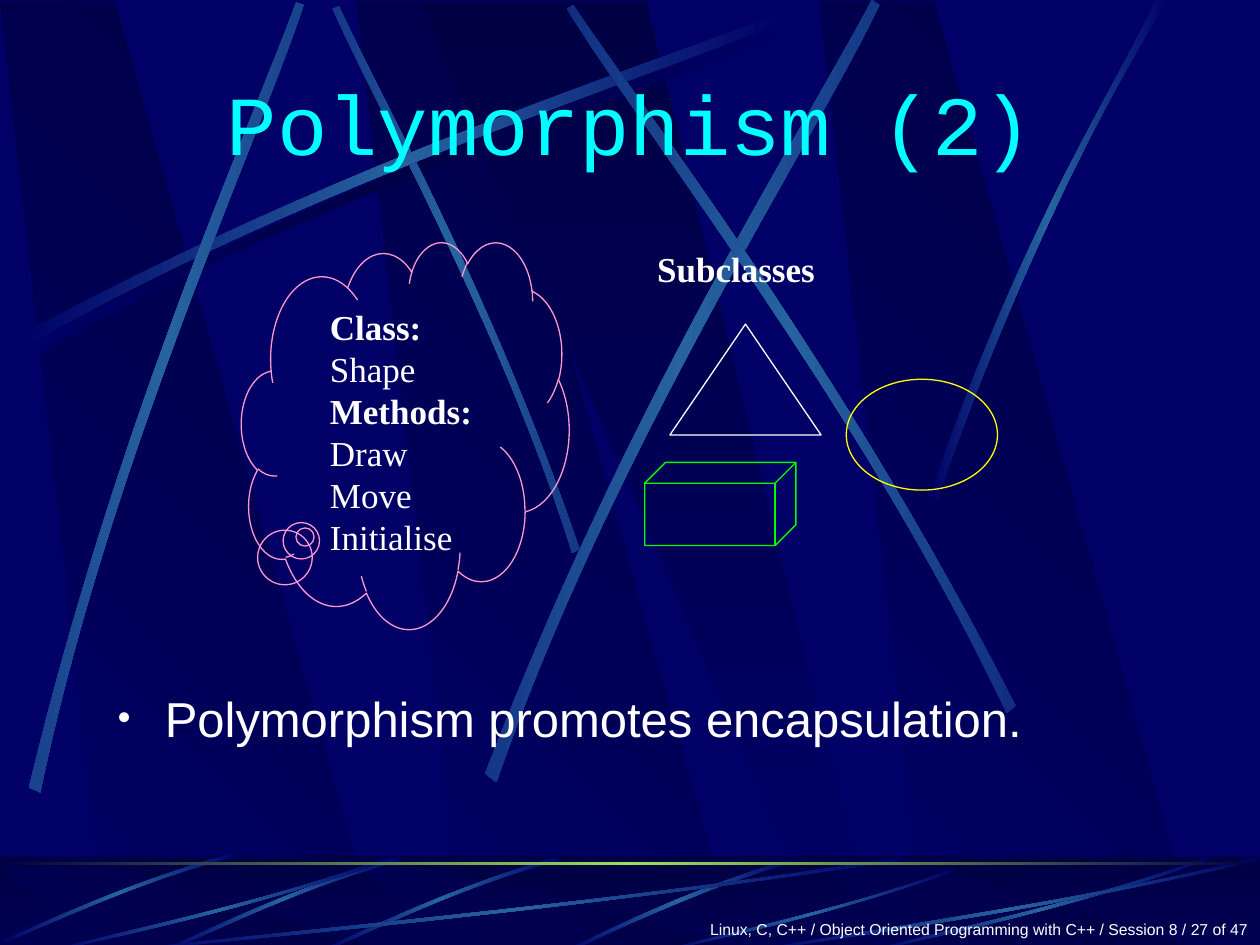
from math import cos, sin, radians
from pptx import Presentation
from pptx.dml.color import RGBColor
from pptx.enum.shapes import MSO_SHAPE as Preset
from pptx.enum.text import MSO_ANCHOR as Anchor, PP_ALIGN as Align
from pptx.oxml import parse_xml
from pptx.oxml.ns import nsdecls, qn
from pptx.util import Inches, Pt

COLUMNS, ROWS = 1000, 750
WIDTH, HEIGHT = Inches(10), Inches(7.5)
NAVY, MIDNIGHT, STEEL, LIME, WHITE = "000066", "000044", "2663A0", "9CE157", "FFFFFF"
GLOW = (NAVY, STEEL, NAVY)

WEDGE = [(86, 1), (302, 1), (91, 0), (0, 0)]
WIDE_WEDGE = [(0, 0), (325, 1), (361, 1), (180, 0)]
WEDGE_LEFTS = (283, 0, 650)

STREAKS = [
    ([(20, 275), (284, 134), (524, 59), (626, 18),
      (629, 24), (528, 69), (254, 151), (23, 285)], 0, (NAVY, MIDNIGHT, NAVY)),
    ([(460, 436), (391, 234), (302, 77), (269, 5),
      (264, 7), (295, 79), (398, 258), (454, 439)], 45, GLOW),
    ([(14, 267), (278, 125), (518, 51), (620, 10),
      (623, 16), (522, 61), (248, 143), (17, 277)], 0, GLOW),
    ([(23, 625), (93, 334), (197, 105), (235, 2),
      (241, 4), (207, 108), (86, 368), (32, 629)], 311.7, GLOW),
    ([(385, 614), (498, 320), (638, 102), (692, 0),
      (698, 4), (649, 108), (486, 355), (394, 621)], 321.6, GLOW),
    ([(806, 560), (670, 293), (516, 95), (455, 4),
      (450, 7), (507, 101), (685, 325), (799, 566)], 34.8, GLOW),
    ([(738, 393), (814, 173), (888, 66), (917, 0),
      (927, 0), (836, 145), (769, 322), (744, 397)], 0, GLOW),
]
ARC = [(627, 682), (537, 709), (477, 742), (448, 754),
       (453, 755), (490, 737), (571, 700), (628, 685)]
TILTED = [(186, 4), (99, 29), (31, 64), (0, 77), (1, 79), (32, 67), (109, 27), (188, 7)]
TILTED_PLACES = [(256, 188, 676, 79), (131, 188, 676, 79), (2, 186, 673, 75)]
FAN = [(266, 3), (151, 43), (46, 64), (1, 75), (0, 74), (44, 61), (164, 38), (267, 0)]
FAN_PLACES = [(100, 617, 680, 75), (42, 267, 680, 75), (527, 231, 689, 66),
              (692, 267, 680, 75), (600, 400, 680, 75)]


def color(value):
    return RGBColor.from_string(value)


def across(columns):
    return round(WIDTH * columns / COLUMNS)


def down(rows):
    return round(HEIGHT * rows / ROWS)


def turn(x, y, degrees):
    angle = radians(degrees)
    return x * cos(angle) - y * sin(angle), x * sin(angle) + y * cos(angle)


def fit(points, left, width, top, height):
    full_width, full_height = (max(values) for values in zip(*points))
    return [(left + x * width / full_width, top + y * height / full_height) for x, y in points]


def write(paragraph, text, font="Arial", size=20, ink=WHITE, bold=False, align=Align.LEFT):
    paragraph.alignment = align
    run = paragraph.add_run()
    run.text = text
    run.font.name, run.font.size, run.font.bold = font, Pt(size), bold
    run.font.color.rgb = color(ink)


class Painter:
    def __init__(self, slide, serif="Times New Roman", line_width=0.75):
        self.slide, self.serif, self.line_width = slide, serif, line_width

    def gradient(self, shape, colors, angle):
        shape.shadow.inherit = False
        shape.line.fill.background()
        shape.fill.gradient()
        fill = shape.fill._xPr.find(qn("a:gradFill"))
        stops = "".join(
            f'<a:gs pos="{round(100000 * i / (len(colors) - 1))}"><a:srgbClr val="{value}"/></a:gs>'
            for i, value in enumerate(colors))
        fill.getparent().replace(fill, parse_xml(
            f'<a:gradFill {nsdecls("a")} rotWithShape="0"><a:gsLst>{stops}</a:gsLst>'
            f'<a:lin ang="{angle * 60000}" scaled="0"/></a:gradFill>'))

    def outline(self, points, colors, angle, rotation=0):
        corners = [turn(across(x), down(y), -rotation) for x, y in points]
        builder = self.slide.shapes.build_freeform(*map(round, corners[0]), scale=1.0)
        builder.add_line_segments([tuple(map(round, corner)) for corner in corners[1:]])
        shape = builder.convert_to_shape()
        x, y = turn(shape.left + shape.width / 2, shape.top + shape.height / 2, rotation)
        shape.left, shape.top = round(x - shape.width / 2), round(y - shape.height / 2)
        shape.rotation = rotation
        self.gradient(shape, colors, angle)
        return shape

    def streak(self, points, rotation=0, colors=GLOW):
        shape = self.outline(points, colors, 180, rotation)
        segments = list(shape._element.iter(qn("a:lnTo")))
        for side in (segments[:3], segments[4:7]):
            bend = parse_xml(f'<a:cubicBezTo {nsdecls("a")}/>')
            side[0].addprevious(bend)
            for segment in side:
                bend.append(segment[0])
                segment.getparent().remove(segment)

    def wedges(self, top, height):
        places = [(left, WEDGE, 135) for left in WEDGE_LEFTS] + [(333, WIDE_WEDGE, 90)]
        for left, points, angle in places:
            self.outline([(left + x, top + y * height) for x, y in points],
                         (MIDNIGHT, NAVY), angle)

    def preset(self, kind, left, top, width, height, line=None, adjustments=()):
        shape = self.slide.shapes.add_shape(
            kind, across(left), down(top), across(width), down(height))
        shape.shadow.inherit = False
        shape.fill.background()
        if line:
            shape.line.color.rgb = color(line)
            shape.line.width = Pt(self.line_width)
        else:
            shape.line.fill.background()
        for index, value in enumerate(adjustments):
            shape.adjustments[index] = value
        return shape

    def band(self, top, height, colors, angle):
        self.gradient(self.preset(Preset.RECTANGLE, 0, top, COLUMNS, height), colors, angle)

    def veil(self, top, height, value, opacity):
        shape = self.preset(Preset.RECTANGLE, 0, top, COLUMNS, height)
        shape.fill.solid()
        shape.fill.fore_color.rgb = color(value)
        tint = shape.fill._xPr.find(qn("a:solidFill"))[0]
        tint.append(parse_xml(f'<a:alpha {nsdecls("a")} val="{opacity * 1000}"/>'))

    def text(self, left, top, width, height, lines, anchor=Anchor.TOP, **style):
        box = self.slide.shapes.add_textbox(across(left), down(top), across(width), down(height))
        frame = box.text_frame
        frame.word_wrap, frame.vertical_anchor = True, anchor
        for index, (line, bold) in enumerate(lines):
            paragraph = frame.add_paragraph() if index else frame.paragraphs[0]
            write(paragraph, line, bold=bold, **style)
        return frame

    def bullet(self, left, top, width, height, line, size):
        paragraph = self.text(left, top, width, height, [(line, False)], size=size).paragraphs[0]
        paragraph.space_before, paragraph.space_after = Pt(12), Pt(3)
        properties = paragraph._p.get_or_add_pPr()
        properties.set("marL", str(Inches(0.38)))
        properties.set("indent", str(-Inches(0.38)))
        for tag in (f'buClr {nsdecls("a")}><a:srgbClr val="{WHITE}"/></a:buClr',
                    f'buSzPct {nsdecls("a")} val="85000"/',
                    f'buFont {nsdecls("a")} typeface="Times New Roman"/',
                    f'buChar {nsdecls("a")} char="•"/'):
            properties.append(parse_xml(f"<a:{tag}>"))


def draw_background(painter):
    painter.wedges(1, 751)
    for streak in STREAKS:
        painter.streak(*streak)
    painter.band(680, 75, (MIDNIGHT, NAVY), 90)
    painter.wedges(688, 66)
    painter.veil(679, 75, MIDNIGHT, 50)
    painter.streak(ARC)
    for place in TILTED_PLACES:
        painter.streak(fit(TILTED, *place), 314.9)
    for place in FAN_PLACES:
        painter.streak(fit(FAN, *place))
    painter.band(684, 2.4, (MIDNIGHT, LIME, MIDNIGHT), 180)


def draw_content(painter):
    painter.text(0, 725, COLUMNS, 25, [
        ("Linux, C, C++ / Object Oriented Programming with C++ / Session 8 / 27 of 47", False)],
        size=9, align=Align.RIGHT)
    painter.bullet(83, 541.5, 850, 75, "Polymorphism promotes encapsulation.", 28)
    painter.preset(Preset.OVAL, 671.7, 301, 120, 88, "FFFF00")
    painter.text(252, 237.5, 180, 263, [
        ("Class:", True), ("Shape", False), ("Methods:", True),
        ("Draw", False), ("Move", False), ("Initialise", False)], font=painter.serif)
    painter.preset(Preset.CLOUD_CALLOUT, 191.7, 191.7, 260, 307, "FF99CC", (-0.306, 0.264))
    painter.preset(Preset.ISOSCELES_TRIANGLE, 531.7, 257.2, 120, 88, WHITE)
    painter.preset(Preset.CUBE, 511.7, 367, 120, 66, "00FF00", (0.25,))
    painter.text(511.7, 191.6, 180, 66, [("Subclasses", True)], font=painter.serif)
    painter.text(75, 52, 850, 90, [("Polymorphism (2)", False)], anchor=Anchor.MIDDLE,
                 font="Courier New", size=48, ink="00FFFF", align=Align.CENTER)


def main():
    presentation = Presentation()
    presentation.slide_width, presentation.slide_height = WIDTH, HEIGHT
    slide = presentation.slides.add_slide(presentation.slide_layouts[6])
    slide.background.fill.solid()
    slide.background.fill.fore_color.rgb = color(NAVY)
    painter = Painter(slide)
    draw_background(painter)
    draw_content(painter)
    presentation.save("out.pptx")


if __name__ == "__main__":
    main()
